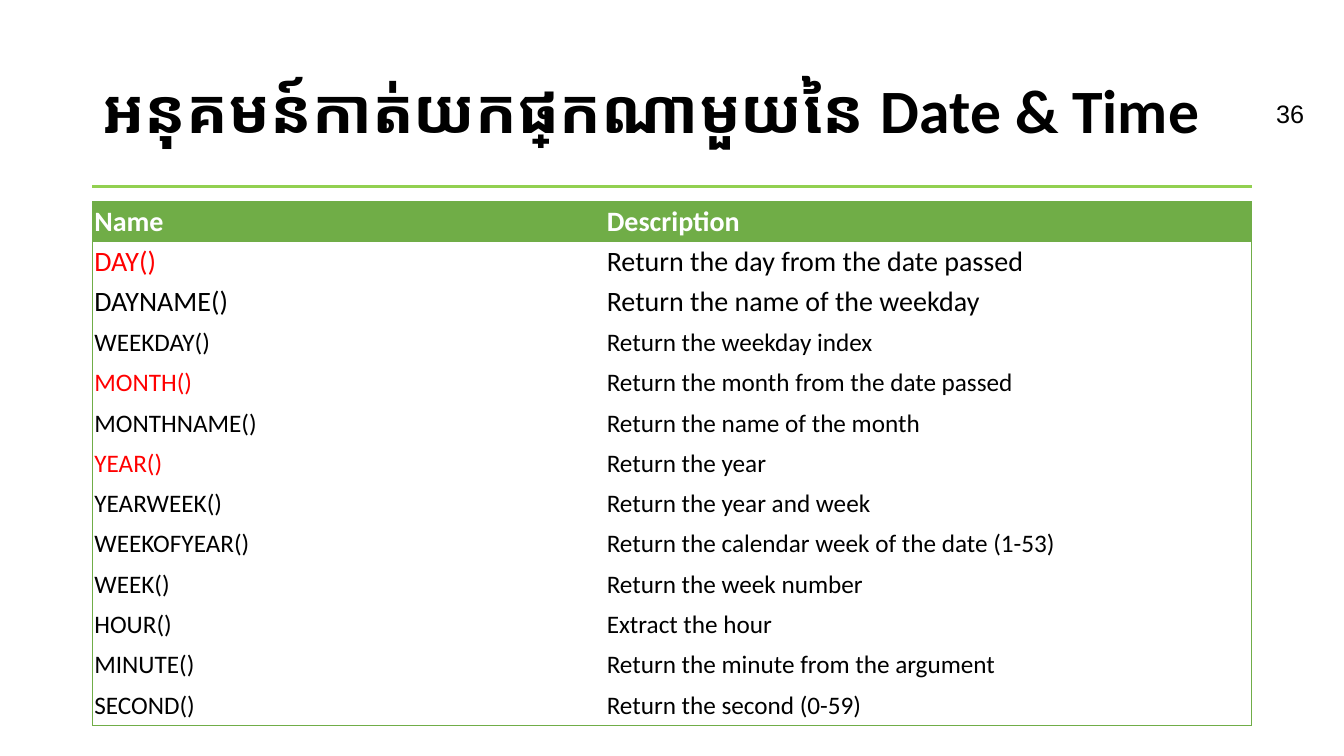
from dataclasses import dataclass

from lxml import etree
from pptx import Presentation, util as u
from pptx.dml.color import RGBColor
from pptx.enum import shapes, text
from pptx.oxml import ns

# Slide grid: 160 columns by 150 rows
WIDTH, HEIGHT = u.Inches(13.333), u.Inches(7.5)
COLUMNS, ROWS = 160, 150
LEFT, SPAN = 11, 138
TITLE_TOP, RULE_ROW, TABLE_TOP, ROW_STEP = 8, 37, 40, 8
NAME_SPAN = 61


@dataclass(frozen=True)
class Theme:
    font: str = "Calibri"
    number_font: str = "Arial"
    ink: str = "000000"
    paper: str = "FFFFFF"
    accent: str = "FF0000"
    green: str = "70AD47"
    rule: str = "92D050"
    title_size: int = 44
    large: int = 20
    body: int = 18
    border: float = 0.5


@dataclass(frozen=True)
class Function:
    name: str
    description: str
    large: bool = False
    highlighted: bool = False


THEME = Theme()
FUNCTIONS = [
    Function("DAY()", "Return the day from the date passed", True, True),
    Function("DAYNAME()", "Return the name of the weekday", True),
    Function("WEEKDAY()", "Return the weekday index"),
    Function("MONTH()", "Return the month from the date passed", highlighted=True),
    Function("MONTHNAME()", "Return the name of the month"),
    Function("YEAR()", "Return the year", highlighted=True),
    Function("YEARWEEK()", "Return the year and week"),
    Function("WEEKOFYEAR()", "Return the calendar week of the date (1-53)"),
    Function("WEEK()", "Return the week number"),
    Function("HOUR()", "Extract the hour"),
    Function("MINUTE()", "Return the minute from the argument"),
    Function("SECOND()", "Return the second (0-59)"),
]


def across(columns: float) -> int:
    return round(WIDTH * columns / COLUMNS)


def down(rows: float) -> int:
    return round(HEIGHT * rows / ROWS)


def add_run(para, words: str, size: int, color: str,
            bold: bool = False, font: str = THEME.font) -> None:
    span = para.add_run()
    span.text = words
    span.font.name = font
    span.font.size = u.Pt(size)
    span.font.bold = bold
    span.font.color.rgb = RGBColor.from_string(color)


def set_borders(cell, visible: str) -> None:
    """Draw the sides named in visible (L, R, T, B) and clear the others."""
    properties = cell._tc.get_or_add_tcPr()
    for index, side in enumerate("LRTB"):
        line = etree.Element(ns.qn(f"a:ln{side}"), w=str(u.Pt(THEME.border)))
        if side in visible:
            fill = etree.SubElement(line, ns.qn("a:solidFill"))
            etree.SubElement(fill, ns.qn("a:srgbClr"), val=THEME.green)
        else:
            etree.SubElement(line, ns.qn("a:noFill"))
        properties.insert(index, line)


def fill_cell(cell, words: str, size: int, color: str, fill: str,
              borders: str, bold: bool = False) -> None:
    cell.fill.solid()
    cell.fill.fore_color.rgb = RGBColor.from_string(fill)
    cell.margin_left = cell.margin_right = u.Inches(0.02)
    cell.margin_top = cell.margin_bottom = u.Inches(0.01)
    cell.vertical_anchor = text.MSO_ANCHOR.MIDDLE
    add_run(cell.text_frame.paragraphs[0], words, size, color, bold)
    set_borders(cell, borders)


def add_title(page) -> None:
    title = page.shapes.title
    title.left, title.top = across(LEFT), down(TITLE_TOP)
    title.width, title.height = across(SPAN), down(RULE_ROW - TITLE_TOP)
    frame = title.text_frame
    frame.word_wrap = True
    frame.auto_size = text.MSO_AUTO_SIZE.NONE
    frame.vertical_anchor = text.MSO_ANCHOR.MIDDLE
    para = frame.paragraphs[0]
    para.alignment = text.PP_ALIGN.LEFT
    para.line_spacing = 0.9
    add_run(para, "អនុគមន៍កាត់យកផ្នែកណាមួយនៃ Date & Time",
            THEME.title_size, THEME.ink, bold=True)


def add_page_number(page) -> None:
    box = page.shapes.add_textbox(across(150.75), down(18.6), across(6.25), down(8))
    box.text_frame.word_wrap = True
    box.text_frame.auto_size = text.MSO_AUTO_SIZE.SHAPE_TO_FIT_TEXT
    add_run(box.text_frame.paragraphs[0], "36", THEME.body, THEME.ink,
            font=THEME.number_font)


def add_rule(page) -> None:
    rule = page.shapes.add_connector(
        shapes.MSO_CONNECTOR.STRAIGHT, across(LEFT), down(RULE_ROW),
        across(LEFT + SPAN), down(RULE_ROW))
    rule.line.color.rgb = RGBColor.from_string(THEME.rule)
    rule.line.width = u.Pt(1.5)
    etree.SubElement(rule._element.spPr, ns.qn("a:effectLst"))


def add_function_table(page) -> None:
    count = len(FUNCTIONS) + 1
    table = page.shapes.add_table(
        count, 2, across(LEFT), down(TABLE_TOP),
        across(SPAN), down(ROW_STEP * count)).table
    table.horz_banding = False
    for column, width in zip(table.columns, (NAME_SPAN, SPAN - NAME_SPAN)):
        column.width = across(width)
    for row in table.rows:
        row.height = down(ROW_STEP)

    # Header row
    for column, (heading, side) in enumerate((("Name", "L"), ("Description", "R"))):
        fill_cell(table.cell(0, column), heading, THEME.large, THEME.paper,
                  THEME.green, side + "T", bold=True)

    # One row per function
    for row, function in enumerate(FUNCTIONS, start=1):
        size = THEME.large if function.large else THEME.body
        name_color = THEME.accent if function.highlighted else THEME.ink
        bottom = "B" if row == count - 1 else ""
        fill_cell(table.cell(row, 0), function.name, size, name_color,
                  THEME.paper, "L" + bottom)
        fill_cell(table.cell(row, 1), function.description, size, THEME.ink,
                  THEME.paper, "R" + bottom)


def main() -> None:
    deck = Presentation()
    deck.slide_width, deck.slide_height = WIDTH, HEIGHT
    page = deck.slides.add_slide(deck.slide_layouts.get_by_name("Title Only"))
    add_page_number(page)
    add_rule(page)
    add_title(page)
    add_function_table(page)
    deck.save("out.pptx")


if __name__ == "__main__":
    main()
